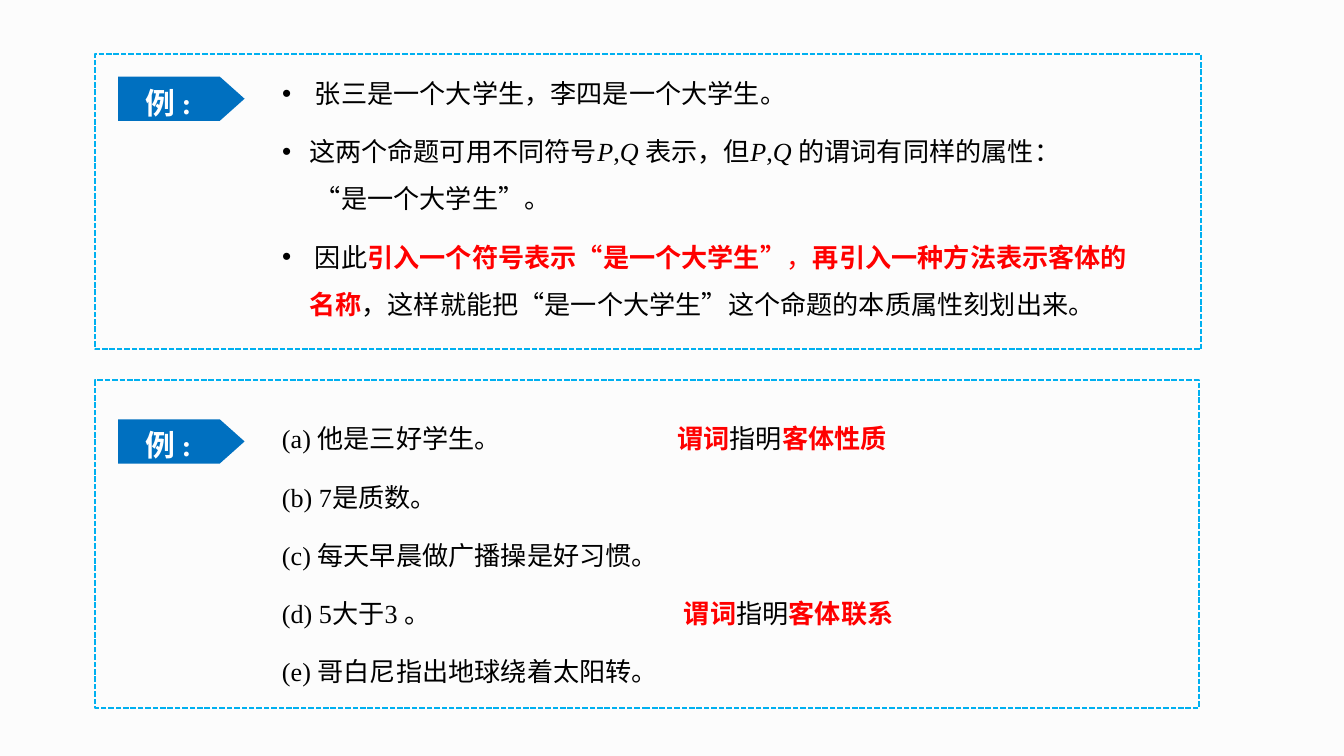
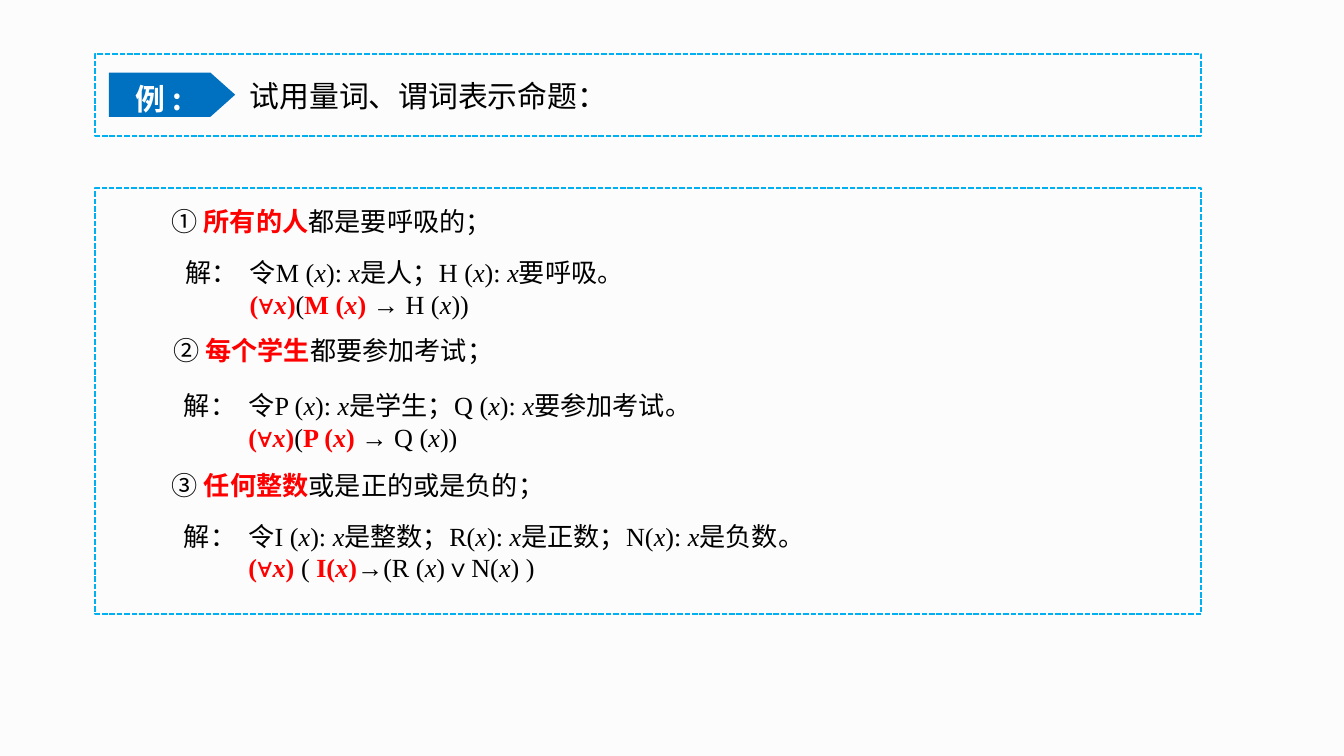
from dataclasses import dataclass
from itertools import groupby
from typing import NamedTuple

from lxml import etree
from pptx import Presentation
from pptx import util as u
from pptx.dml.color import RGBColor
from pptx.enum import dml, shapes, text
from pptx.oxml.ns import qn

PX = 9144  # EMU per px, 100 px to the inch
PAGE_WIDTH = 1000 * PX
PAGE_HEIGHT = PAGE_WIDTH * 9 // 16


@dataclass(frozen=True)
class Theme:
    paper: RGBColor = RGBColor(0xFC, 0xFC, 0xFC)
    ink: RGBColor = RGBColor(0, 0, 0)
    accent: RGBColor = RGBColor(0xFF, 0, 0)
    tag: RGBColor = RGBColor(0, 0x70, 0xC0)
    frame: RGBColor = RGBColor(0, 0xB0, 0xF0)
    white: RGBColor = RGBColor(0xFF, 0xFF, 0xFF)
    latin: str = "Times New Roman"
    cjk: str = "Noto Sans CJK SC"
    body_size: int = 14
    head_size: int = 16


THEME = Theme()


class Rect(NamedTuple):
    left: int
    top: int
    width: int
    height: int

    def emu(self) -> list[u.Emu]:
        return [u.Emu(side * PX) for side in self]


class Line(NamedTuple):
    """One paragraph; *bold red*, ~red~ and _italic_ are marked in its text."""
    text: str
    bullet: bool = False
    tab: int = 0


class Style(NamedTuple):
    size: int = THEME.body_size
    font: str = THEME.latin
    color: RGBColor = THEME.ink
    bold: bool = False
    spacing: float = 1.0
    before: int = 0
    align: text.PP_ALIGN = text.PP_ALIGN.LEFT


class Exercise(NamedTuple):
    claim: Line
    claim_at: Rect
    claim_spacing: float
    answer: list[Line]
    answer_at: Rect


LIST = Style(spacing=1.5, before=6)
HEADING = Style(size=THEME.head_size, font=THEME.cjk, spacing=0.8)
BULLET_INDENT = 20
ANSWER_TAB = 48

STUDENT_POINTS = [
    Line(" 张三是一个大学生，李四是一个大学生。", bullet=True),
    Line("这两个命题可用不同符号_P_,_Q _表示，但_P_,_Q _的谓词有同样的属性："
         "\v “是一个大学生”。", bullet=True),
    Line(" 因此*引入一个符号表示“是一个大学生”*~，~*再引入一种方法表示客体的 名称*"
         "，这样就能把“是一个大学生”这个命题的本质属性刻划出来。", bullet=True),
]

PROPOSITIONS = [
    Line("(a) 他是三好学生。\t*谓词*指明*客体性质*", tab=294),
    Line("(b) 7是质数。"),
    Line("(c) 每天早晨做广播操是好习惯。"),
    Line("(d) 5大于3 。\t*谓词*指明*客体联系*", tab=299),
    Line("(e) 哥白尼指出地球绕着太阳转。"),
]

EXERCISES = [
    Exercise(
        Line("① *所有的人*都是要呼吸的；"), Rect(118, 152, 500, 29), 0.8,
        [Line("解：\t令M (_x_): _x_是人；H (_x_): _x_要呼吸。", tab=ANSWER_TAB),
         Line("\t*(∀_x_)*(*M (_x_) *→ H (_x_))", tab=ANSWER_TAB)],
        Rect(128, 186, 546, 57)),
    Exercise(
        Line("② *每个学生*都要参加考试；"), Rect(119, 244, 336, 34), 1.0,
        [Line("解：\t令P (_x_): _x_是学生；Q (_x_): _x_要参加考试。", tab=ANSWER_TAB),
         Line("\t*(∀_x_)*(*P (_x_)* → Q (_x_))", tab=ANSWER_TAB)],
        Rect(127, 285, 472, 57)),
    Exercise(
        Line("③ *任何整数*或是正的或是负的；"), Rect(118, 344, 462, 56), 1.0,
        [Line("解：\t令I (_x_): _x_是整数；R(_x_): _x_是正数；N(_x_): _x_是负数。",
              tab=ANSWER_TAB),
         Line("\t*(∀_x_) *( *I(_x_)*→(R (_x_)∨N(_x_) )", tab=ANSWER_TAB)],
        Rect(127, 382, 669, 80)),
]


def split_marks(marked: str) -> list[tuple[str, frozenset[str]]]:
    """Cut marked text into pieces, each with the set of marks that are on."""
    active: frozenset[str] = frozenset()
    letters = []
    for letter in marked:
        if letter in "*~_":
            active ^= {letter}
        else:
            letters.append((letter, active))
    return [("".join(letter for letter, _ in group), marks)
            for marks, group in groupby(letters, key=lambda pair: pair[1])]


def set_indent(para, line: Line) -> None:
    """Write the hanging bullet or the tab stop of a paragraph."""
    props = para._p.get_or_add_pPr()
    if line.bullet:
        props.set("marL", str(BULLET_INDENT * PX))
        props.set("indent", str(-BULLET_INDENT * PX))
        etree.SubElement(props, qn("a:buFont"), typeface="Arial")
        etree.SubElement(props, qn("a:buChar"), char="•")
    if line.tab:
        stops = etree.SubElement(props, qn("a:tabLst"))
        etree.SubElement(stops, qn("a:tab"), pos=str(line.tab * PX), algn="l")


def format_span(span, marks: frozenset[str], style: Style) -> None:
    font = span.font
    font.size = u.Pt(style.size)
    font.name = style.font
    font.bold = style.bold or "*" in marks
    font.italic = "_" in marks
    font.color.rgb = THEME.accent if marks & {"*", "~"} else style.color
    etree.SubElement(span._r.get_or_add_rPr(), qn("a:ea"), typeface=THEME.cjk)


def write_lines(box, lines: list[Line], style: Style) -> None:
    frame = box.text_frame
    frame.word_wrap = True
    frame.auto_size = text.MSO_AUTO_SIZE.NONE
    frame.vertical_anchor = text.MSO_ANCHOR.TOP
    for index, line in enumerate(lines):
        para = frame.add_paragraph() if index else frame.paragraphs[0]
        set_indent(para, line)
        para.alignment = style.align
        para.line_spacing = style.spacing
        para.space_before = u.Pt(style.before if index else 0)
        for piece, marks in split_marks(line.text):
            for number, part in enumerate(piece.split("\v")):
                if number:
                    para.add_line_break()
                span = para.add_run()
                span.text = part
                format_span(span, marks, style)


def fill_placeholder(box, at: Rect, lines: list[Line], style: Style) -> None:
    box.left, box.top, box.width, box.height = at.emu()
    write_lines(box, lines, style)


def add_text(page, at: Rect, lines: list[Line], style: Style) -> None:
    write_lines(page.shapes.add_textbox(*at.emu()), lines, style)


def add_panel(page, at: Rect) -> None:
    panel = page.shapes.add_shape(shapes.MSO_SHAPE.RECTANGLE, *at.emu())
    panel.shadow.inherit = False
    panel.fill.background()
    panel.line.color.rgb = THEME.frame
    panel.line.width = u.Pt(1)
    panel.line.dash_style = dml.MSO_LINE.SQUARE_DOT


def add_example_tag(page, left: int, top: int, font: str = THEME.latin) -> None:
    tag = page.shapes.add_shape(shapes.MSO_SHAPE.PENTAGON,
                                *Rect(left, top, 94, 33).emu())
    tag.shadow.inherit = False
    tag.adjustments[0] = 0.56
    tag.fill.solid()
    tag.fill.fore_color.rgb = THEME.tag
    tag.line.fill.background()
    write_lines(tag, [Line("例 :")],
                Style(THEME.head_size, font, THEME.white, bold=True, spacing=1.2,
                      align=text.PP_ALIGN.CENTER))
    tag.text_frame.margin_right = u.Emu(20 * PX)
    tag.text_frame.vertical_anchor = text.MSO_ANCHOR.MIDDLE


def build_predicates(deck) -> None:
    page = deck.slides.add_slide(deck.slide_layouts.get_by_name("Title and Content"))
    title, points = page.placeholders
    title.element.getparent().remove(title.element)
    add_panel(page, Rect(71, 40, 823, 220))
    add_panel(page, Rect(71, 283, 821, 244))
    fill_placeholder(points, Rect(200, 41, 665, 199), STUDENT_POINTS, LIST)
    add_text(page, Rect(200, 298, 577, 216), PROPOSITIONS, LIST)
    for top in (57, 312):
        add_example_tag(page, 88, top)


def build_quantifiers(deck) -> None:
    page = deck.slides.add_slide(deck.slide_layouts.get_by_name("Title Only"))
    add_panel(page, Rect(71, 40, 823, 61))
    add_panel(page, Rect(71, 140, 823, 317))
    add_example_tag(page, 81, 54, THEME.cjk)
    fill_placeholder(page.shapes.title, Rect(176, 58, 500, 32),
                     [Line("试用量词、谓词表示命题：")], HEADING)
    for exercise in EXERCISES:
        add_text(page, exercise.claim_at, [exercise.claim],
                 Style(spacing=exercise.claim_spacing))
        add_text(page, exercise.answer_at, exercise.answer, Style())


def main() -> None:
    deck = Presentation()
    deck.slide_width, deck.slide_height = u.Emu(PAGE_WIDTH), u.Emu(PAGE_HEIGHT)
    backdrop = deck.slide_master.background.fill
    backdrop.solid()
    backdrop.fore_color.rgb = THEME.paper
    build_predicates(deck)
    build_quantifiers(deck)
    deck.save("out.pptx")


if __name__ == "__main__":
    main()
